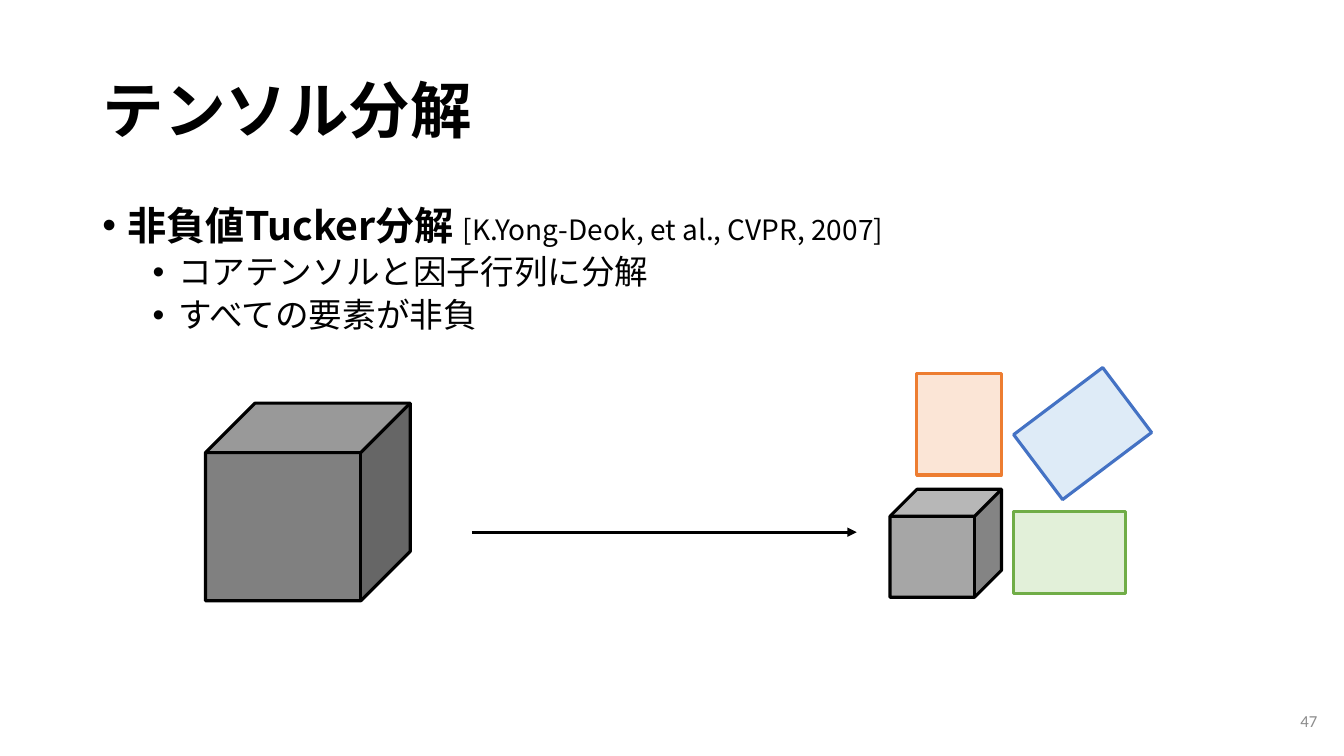
from lxml.etree import SubElement
from pptx import Presentation
from pptx.dml.color import RGBColor
from pptx.enum.shapes import MSO_CONNECTOR as Connector, MSO_SHAPE as Shape
from pptx.enum.text import MSO_ANCHOR as Anchor, PP_ALIGN as Align
from pptx.oxml.ns import qn
from pptx.util import Cm, Pt

BLACK = RGBColor(0x00, 0x00, 0x00)
PAGE_GRAY = RGBColor(0x8C, 0x8C, 0x8C)
TENSOR_GRAY = RGBColor(0x80, 0x80, 0x80)
CORE_GRAY = RGBColor(0xA6, 0xA6, 0xA6)
ORANGE, PALE_ORANGE = RGBColor(0xED, 0x7D, 0x31), RGBColor(0xFB, 0xE5, 0xD6)
GREEN, PALE_GREEN = RGBColor(0x70, 0xAD, 0x47), RGBColor(0xE2, 0xF0, 0xD9)
BLUE, PALE_BLUE = RGBColor(0x44, 0x72, 0xC4), RGBColor(0xDE, 0xEB, 0xF7)


class SlideBuilder:
    body_font = "Noto Sans CJK JP"
    number_font = "Calibri"
    line_width = Pt(2.25)

    def __init__(self, slide):
        self.slide = slide

    def style(self, font, size, bold=False, color=BLACK, name=body_font):
        font.size, font.bold, font.name = Pt(size), bold, name
        font.color.rgb = color
        latin = font._element.find(qn("a:latin"))
        east_asian = latin.makeelement(qn("a:ea"), {"typeface": name})
        latin.addnext(east_asian)

    def title(self, text, left, top, width, height):
        title = self.slide.shapes.title
        title.left, title.top = Cm(left), Cm(top)
        title.width, title.height = Cm(width), Cm(height)
        frame = title.text_frame
        frame.text = text
        frame.vertical_anchor = Anchor.MIDDLE
        heading = frame.paragraphs[0]
        heading.alignment = Align.LEFT
        heading.line_spacing = 0.9
        self.style(heading.font, 44, bold=True)

    def text_frame(self, left, top, width, height):
        box = self.slide.shapes.add_textbox(Cm(left), Cm(top), Cm(width), Cm(height))
        box.text_frame.word_wrap = True
        return box.text_frame

    def bullet(self, paragraph, level, space_before=0):
        paragraph.level = level
        props = paragraph._p.get_or_add_pPr()
        props.set("marL", str(Cm(0.64 + 1.27 * level)))
        props.set("indent", str(-Cm(0.64)))
        SubElement(props, qn("a:buFont"), typeface="Arial")
        SubElement(props, qn("a:buChar"), char="•")
        paragraph.line_spacing = 0.9
        paragraph.space_before = Pt(space_before)

    def bullets(self, topic, citation, details, *bounds):
        frame = self.text_frame(*bounds)
        heading = frame.paragraphs[0]
        self.bullet(heading, 0)
        for text, size, bold in ((topic, 28, True), (citation, 20, False)):
            run = heading.add_run()
            run.text = text
            self.style(run.font, size, bold)
        for detail in details:
            paragraph = frame.add_paragraph()
            paragraph.text = detail
            self.bullet(paragraph, 1, space_before=5)
            self.style(paragraph.font, 24)

    def block(self, kind, left, top, width, height, fill, line=BLACK, rotation=0):
        block = self.slide.shapes.add_shape(kind, Cm(left), Cm(top), Cm(width), Cm(height))
        block.shadow.inherit = False
        block.rotation = rotation
        block.fill.solid()
        block.fill.fore_color.rgb = fill
        block.line.color.rgb = line
        block.line.width = self.line_width

    def arrow(self, start, end, y):
        arrow = self.slide.shapes.add_connector(
            Connector.STRAIGHT, Cm(start), Cm(y), Cm(end), Cm(y))
        arrow.line.color.rgb = BLACK
        arrow.line.width = self.line_width
        SubElement(arrow.line._get_or_add_ln(), qn("a:tailEnd"), type="triangle")
        SubElement(arrow._element.spPr, qn("a:effectLst"))

    def page_number(self, number, *bounds):
        frame = self.text_frame(*bounds)
        frame.vertical_anchor = Anchor.MIDDLE
        page = frame.paragraphs[0]
        page.text = number
        page.alignment = Align.RIGHT
        self.style(page.font, 12, color=PAGE_GRAY, name=self.number_font)


def main():
    deck = Presentation()
    deck.slide_width, deck.slide_height = Cm(33.87), Cm(19.05)
    builder = SlideBuilder(deck.slides.add_slide(deck.slide_layouts[5]))

    # Heading and explanation
    builder.title("テンソル分解", 2.33, 1.01, 29.21, 3.68)
    builder.bullets(
        "非負値Tucker分解 ", "[K.Yong-Deok, et al., CVPR, 2007]",
        ("コアテンソルと因子行列に分解", "すべての要素が非負"),
        2.33, 5.07, 29.21, 12.09)

    # Tensor before decomposition
    builder.block(Shape.CUBE, 5.18, 10.16, 5.16, 4.98, TENSOR_GRAY)

    # Core tensor and its three factor matrices
    builder.block(Shape.CUBE, 22.43, 12.33, 2.81, 2.72, CORE_GRAY)
    builder.block(Shape.RECTANGLE, 23.1, 9.42, 2.14, 2.55, PALE_ORANGE, ORANGE)
    builder.block(Shape.RECTANGLE, 25.55, 12.9, 2.81, 2.05, PALE_GREEN, GREEN)
    builder.block(Shape.RECTANGLE, 25.88, 9.9, 2.81, 2.05, PALE_BLUE, BLUE, rotation=323)

    # Decomposition step
    builder.arrow(11.89, 21.59, 13.41)

    builder.page_number("47", 25.83, 17.65, 7.62, 1.01)
    deck.save("out.pptx")


if __name__ == "__main__":
    main()
